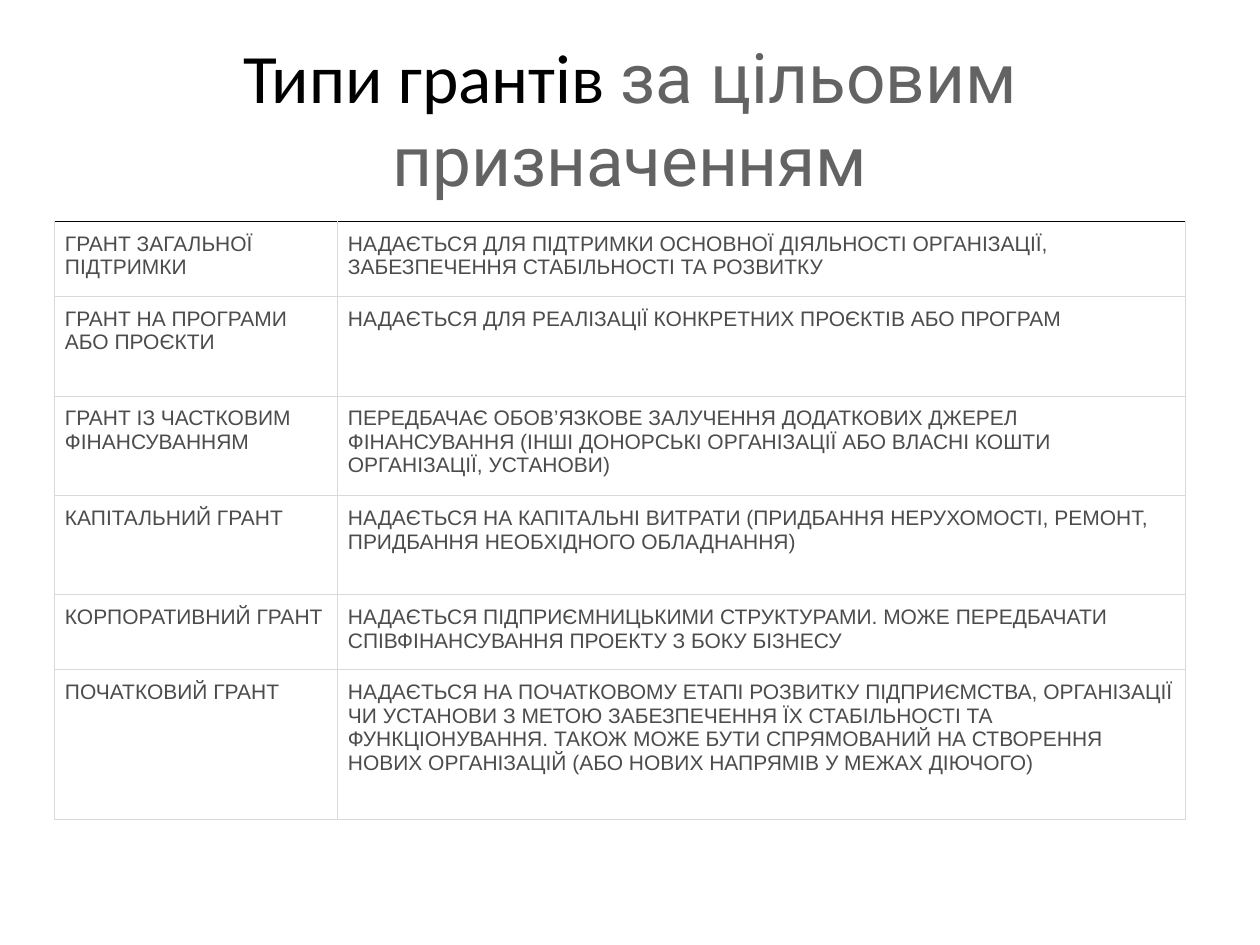
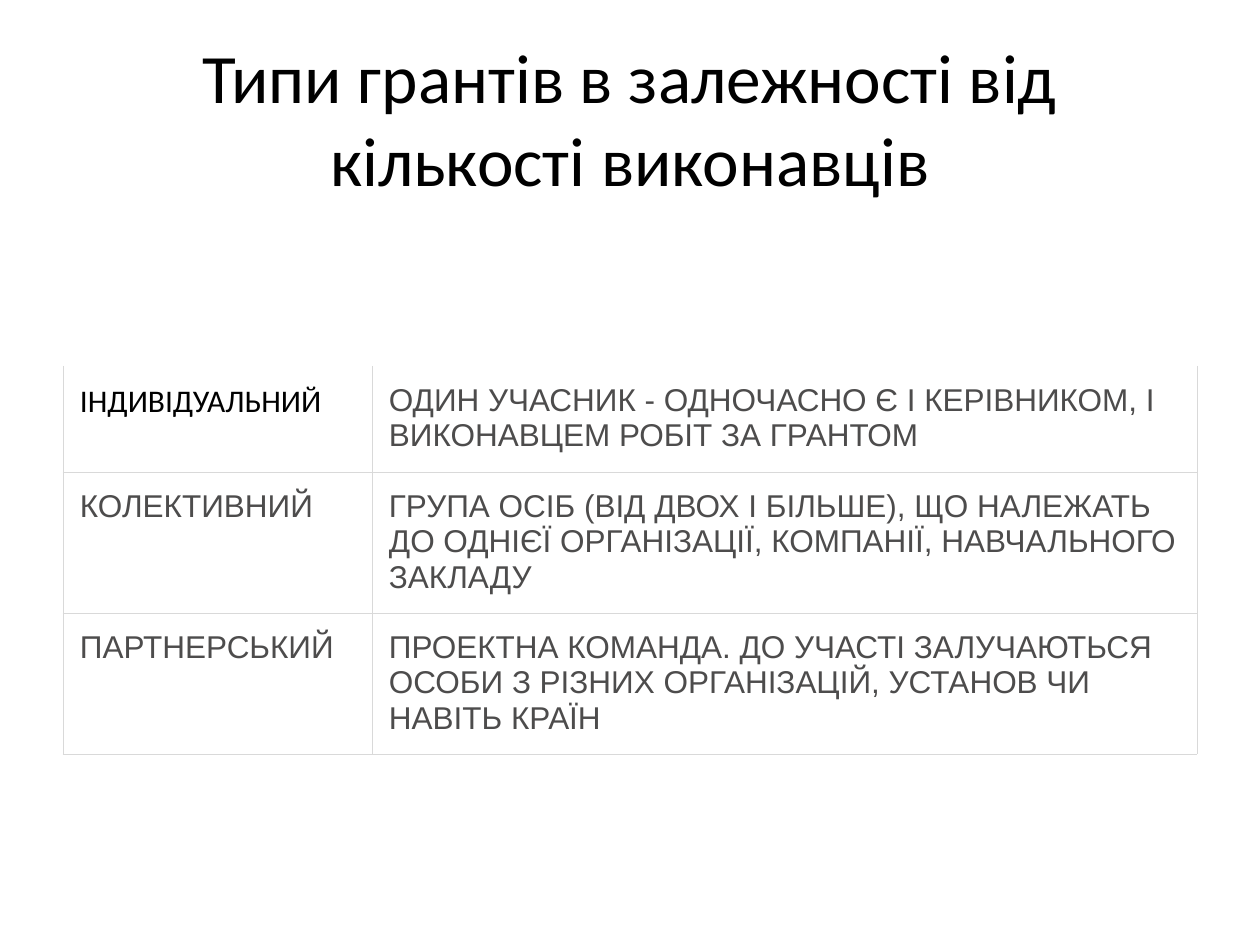
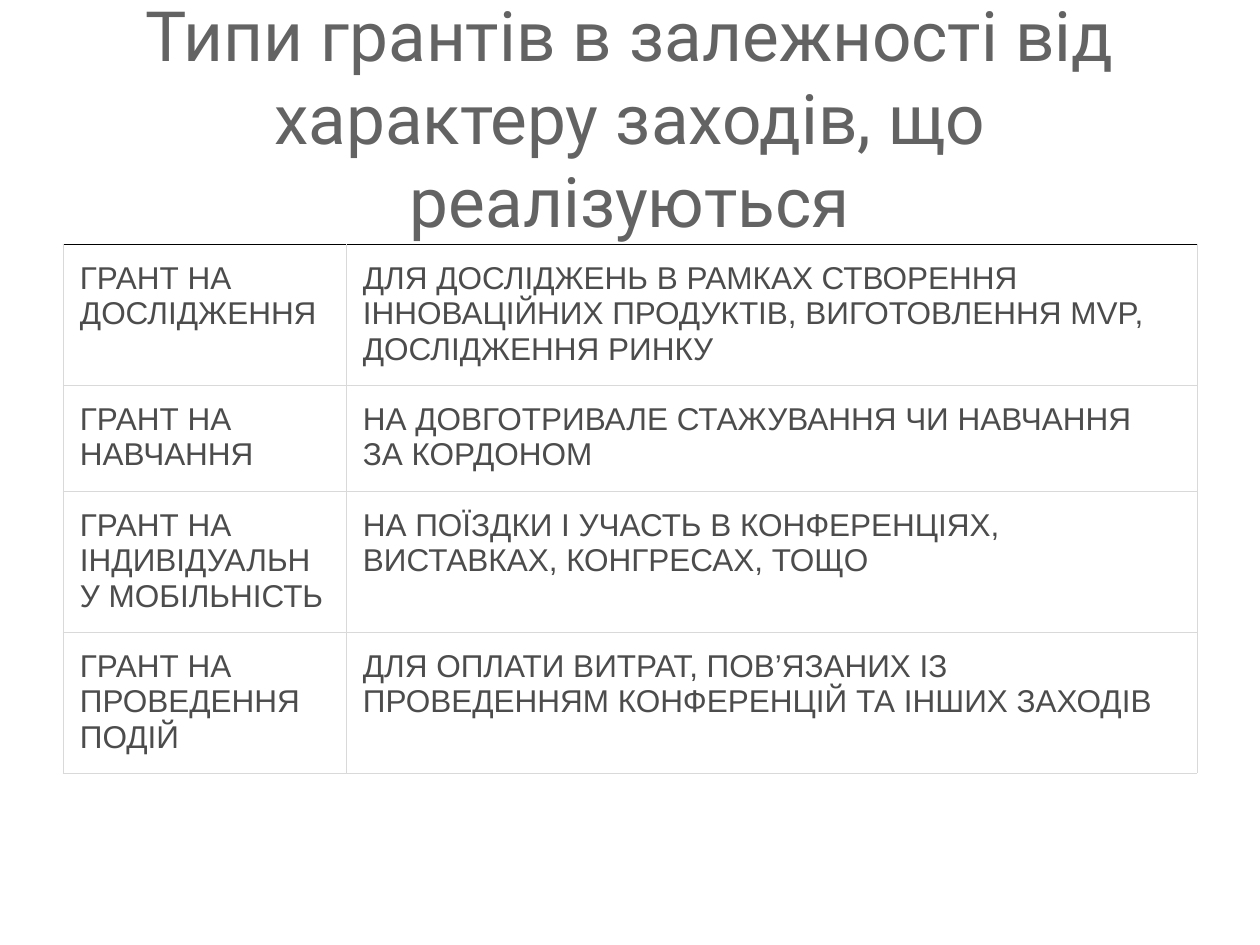
from lxml import etree
from pptx import Presentation
from pptx.dml.color import RGBColor
from pptx.enum.text import MSO_ANCHOR, MSO_AUTO_SIZE, PP_ALIGN
from pptx.oxml.ns import qn
from pptx.util import Emu, Pt

MIDDLE = MSO_ANCHOR.MIDDLE
TOP = MSO_ANCHOR.TOP
NO_AUTOFIT = MSO_AUTO_SIZE.NONE
CENTER = PP_ALIGN.CENTER
LEFT = PP_ALIGN.LEFT

BLACK = RGBColor(0x00, 0x00, 0x00)
WHITE = RGBColor(0xFF, 0xFF, 0xFF)
TITLE_GREY = RGBColor(0x63, 0x63, 0x63)
TEXT_GREY = RGBColor(0x4D, 0x4C, 0x4C)
BORDER_GREY = RGBColor(0xD9, 0xD9, 0xD9)

# Font and colour pairs
PLAIN = ("Calibri", BLACK)
ACCENT = ("Roboto", TITLE_GREY)
BODY = ("Arial", TEXT_GREY)

TITLE_ONLY_LAYOUT = 5
TITLE_SIZE = 39.6
BORDER_WIDTH = 0.5


def px(value):
    return Emu(round(value * 914400 / 126))


class Deck:
    """Holds the shared style and the current slide."""

    def __init__(self):
        self.presentation = Presentation()
        self.presentation.slide_width = px(1260)
        self.presentation.slide_height = px(945)
        self.slide = None

    def add_slide(self):
        layout = self.presentation.slide_layouts[TITLE_ONLY_LAYOUT]
        self.slide = self.presentation.slides.add_slide(layout)

    def format_run(self, run, style, size):
        run.font.name, run.font.color.rgb = style
        run.font.size = Pt(size)

    def title(self, *parts):
        shape = self.slide.shapes.title
        shape.left, shape.top = px(63), px(38)
        shape.width, shape.height = px(1134), px(158)
        text_frame = shape.text_frame
        text_frame.auto_size = NO_AUTOFIT
        text_frame.word_wrap = True
        text_frame.vertical_anchor = MIDDLE
        paragraph = text_frame.paragraphs[0]
        paragraph.alignment = CENTER
        for text, style in parts:
            run = paragraph.add_run()
            run.text = text
            self.format_run(run, style, TITLE_SIZE)

    def borders(self, cell, top_color):
        properties = cell._tc.get_or_add_tcPr()
        sides = {"L": BORDER_GREY, "R": BORDER_GREY, "T": top_color, "B": BORDER_GREY}
        for side, color in sides.items():
            line = etree.SubElement(properties, qn(f"a:ln{side}"), w=str(Pt(BORDER_WIDTH)))
            if color is None:
                etree.SubElement(line, qn("a:noFill"))
            else:
                fill = etree.SubElement(line, qn("a:solidFill"))
                etree.SubElement(fill, qn("a:srgbClr"), val=str(color))

    def table(self, left, top, widths, heights, rows, size, margin,
              top_color=BLACK, white_rows=(), special_styles=None):
        special_styles = special_styles or {}
        table = self.slide.shapes.add_table(
            len(rows), len(widths), px(left), px(top),
            px(sum(widths)), px(sum(heights))).table
        table.first_row = table.horz_banding = False
        for column, width in zip(table.columns, widths):
            column.width = px(width)
        for row_index, texts in enumerate(rows):
            table.rows[row_index].height = px(heights[row_index])
            for column_index, text in enumerate(texts):
                cell = table.cell(row_index, column_index)
                cell.text_frame.text = text
                cell.vertical_anchor = TOP
                cell.margin_left = cell.margin_right = px(margin)
                cell.margin_top = cell.margin_bottom = px(margin)
                paragraph = cell.text_frame.paragraphs[0]
                paragraph.alignment = LEFT
                style = special_styles.get((row_index, column_index), BODY)
                self.format_run(paragraph.runs[0], style, size)
                self.borders(cell, BORDER_GREY if row_index else top_color)
                if row_index in white_rows:
                    cell.fill.solid()
                    cell.fill.fore_color.rgb = WHITE
                else:
                    cell.fill.background()


PURPOSE_ROWS = [
    ("ГРАНТ ЗАГАЛЬНОЇ ПІДТРИМКИ",
     "НАДАЄТЬСЯ ДЛЯ ПІДТРИМКИ ОСНОВНОЇ ДІЯЛЬНОСТІ ОРГАНІЗАЦІЇ, "
     "ЗАБЕЗПЕЧЕННЯ СТАБІЛЬНОСТІ ТА РОЗВИТКУ"),
    ("ГРАНТ НА ПРОГРАМИ АБО ПРОЄКТИ",
     "НАДАЄТЬСЯ ДЛЯ РЕАЛІЗАЦІЇ КОНКРЕТНИХ ПРОЄКТІВ АБО ПРОГРАМ"),
    ("ГРАНТ ІЗ ЧАСТКОВИМ ФІНАНСУВАННЯМ",
     "ПЕРЕДБАЧАЄ ОБОВ’ЯЗКОВЕ ЗАЛУЧЕННЯ ДОДАТКОВИХ ДЖЕРЕЛ ФІНАНСУВАННЯ "
     "(ІНШІ ДОНОРСЬКІ ОРГАНІЗАЦІЇ АБО ВЛАСНІ КОШТИ ОРГАНІЗАЦІЇ, УСТАНОВИ)"),
    ("КАПІТАЛЬНИЙ ГРАНТ",
     "НАДАЄТЬСЯ НА КАПІТАЛЬНІ ВИТРАТИ (ПРИДБАННЯ НЕРУХОМОСТІ, РЕМОНТ, "
     "ПРИДБАННЯ НЕОБХІДНОГО ОБЛАДНАННЯ)"),
    ("КОРПОРАТИВНИЙ ГРАНТ",
     "НАДАЄТЬСЯ ПІДПРИЄМНИЦЬКИМИ СТРУКТУРАМИ. МОЖЕ ПЕРЕДБАЧАТИ "
     "СПІВФІНАНСУВАННЯ ПРОЕКТУ З БОКУ БІЗНЕСУ"),
    ("ПОЧАТКОВИЙ ГРАНТ",
     "НАДАЄТЬСЯ НА ПОЧАТКОВОМУ ЕТАПІ РОЗВИТКУ ПІДПРИЄМСТВА, ОРГАНІЗАЦІЇ "
     "ЧИ УСТАНОВИ З МЕТОЮ ЗАБЕЗПЕЧЕННЯ ЇХ СТАБІЛЬНОСТІ ТА ФУНКЦІОНУВАННЯ. "
     "ТАКОЖ МОЖЕ БУТИ СПРЯМОВАНИЙ НА СТВОРЕННЯ НОВИХ ОРГАНІЗАЦІЙ "
     "(АБО НОВИХ НАПРЯМІВ У МЕЖАХ ДІЮЧОГО)"),
]

PERFORMER_ROWS = [
    ("ІНДИВІДУАЛЬНИЙ",
     "ОДИН УЧАСНИК - ОДНОЧАСНО Є І КЕРІВНИКОМ, І ВИКОНАВЦЕМ РОБІТ ЗА ГРАНТОМ"),
    ("КОЛЕКТИВНИЙ",
     "ГРУПА ОСІБ (ВІД ДВОХ І БІЛЬШЕ), ЩО НАЛЕЖАТЬ ДО ОДНІЄЇ ОРГАНІЗАЦІЇ, "
     "КОМПАНІЇ, НАВЧАЛЬНОГО ЗАКЛАДУ"),
    ("ПАРТНЕРСЬКИЙ",
     "ПРОЕКТНА КОМАНДА. ДО УЧАСТІ ЗАЛУЧАЮТЬСЯ ОСОБИ З РІЗНИХ ОРГАНІЗАЦІЙ, "
     "УСТАНОВ ЧИ НАВІТЬ КРАЇН"),
]

ACTIVITY_ROWS = [
    ("ГРАНТ НА ДОСЛІДЖЕННЯ",
     "ДЛЯ ДОСЛІДЖЕНЬ В РАМКАХ СТВОРЕННЯ ІННОВАЦІЙНИХ ПРОДУКТІВ, "
     "ВИГОТОВЛЕННЯ MVP, ДОСЛІДЖЕННЯ РИНКУ"),
    ("ГРАНТ НА НАВЧАННЯ",
     "НА ДОВГОТРИВАЛЕ СТАЖУВАННЯ ЧИ НАВЧАННЯ ЗА КОРДОНОМ"),
    ("ГРАНТ НА ІНДИВІДУАЛЬНУ МОБІЛЬНІСТЬ",
     "НА ПОЇЗДКИ І УЧАСТЬ В КОНФЕРЕНЦІЯХ, ВИСТАВКАХ, КОНГРЕСАХ, ТОЩО"),
    ("ГРАНТ НА ПРОВЕДЕННЯ ПОДІЙ",
     "ДЛЯ ОПЛАТИ ВИТРАТ, ПОВ’ЯЗАНИХ ІЗ ПРОВЕДЕННЯМ КОНФЕРЕНЦІЙ ТА ІНШИХ ЗАХОДІВ"),
]


def main():
    deck = Deck()

    # Grants by purpose
    deck.add_slide()
    deck.title(("Типи грантів ", PLAIN), ("за цільовим призначенням", ACCENT))
    deck.table(54, 221, (283, 848), (75, 100, 100, 99, 75, 150),
               PURPOSE_ROWS, size=12, margin=11)

    # Grants by number of performers
    deck.add_slide()
    deck.title(("Типи грантів в залежності від кількості виконавців", PLAIN))
    deck.table(63, 366, (309, 825), (106, 141, 141),
               PERFORMER_ROWS, size=18, margin=17, top_color=None,
               white_rows=(0, 2), special_styles={(0, 0): PLAIN})

    # Grants by kind of activity
    deck.add_slide()
    deck.title(("Типи грантів в залежності від характеру заходів, що реалізуються", ACCENT))
    deck.table(63, 244, (283, 851), (141, 106, 141, 141),
               ACTIVITY_ROWS, size=18, margin=17)

    deck.presentation.save("out.pptx")


if __name__ == "__main__":
    main()
